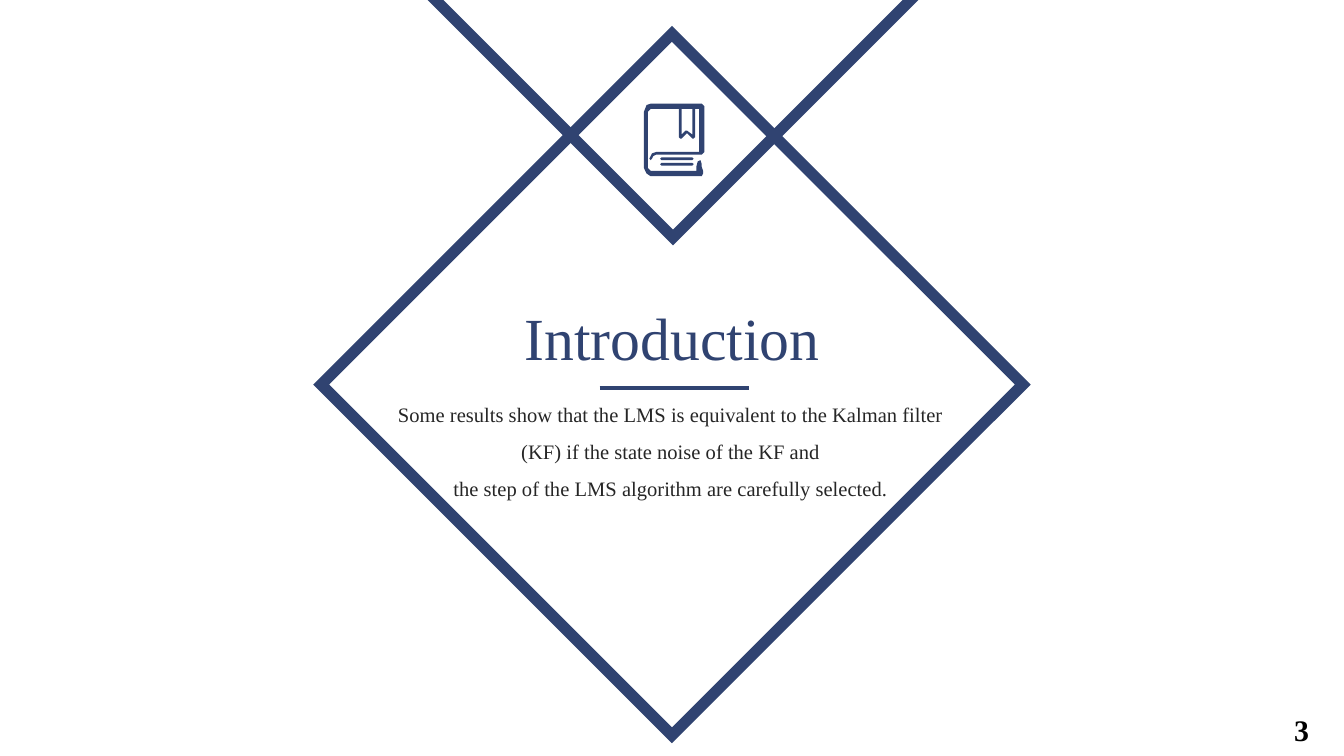
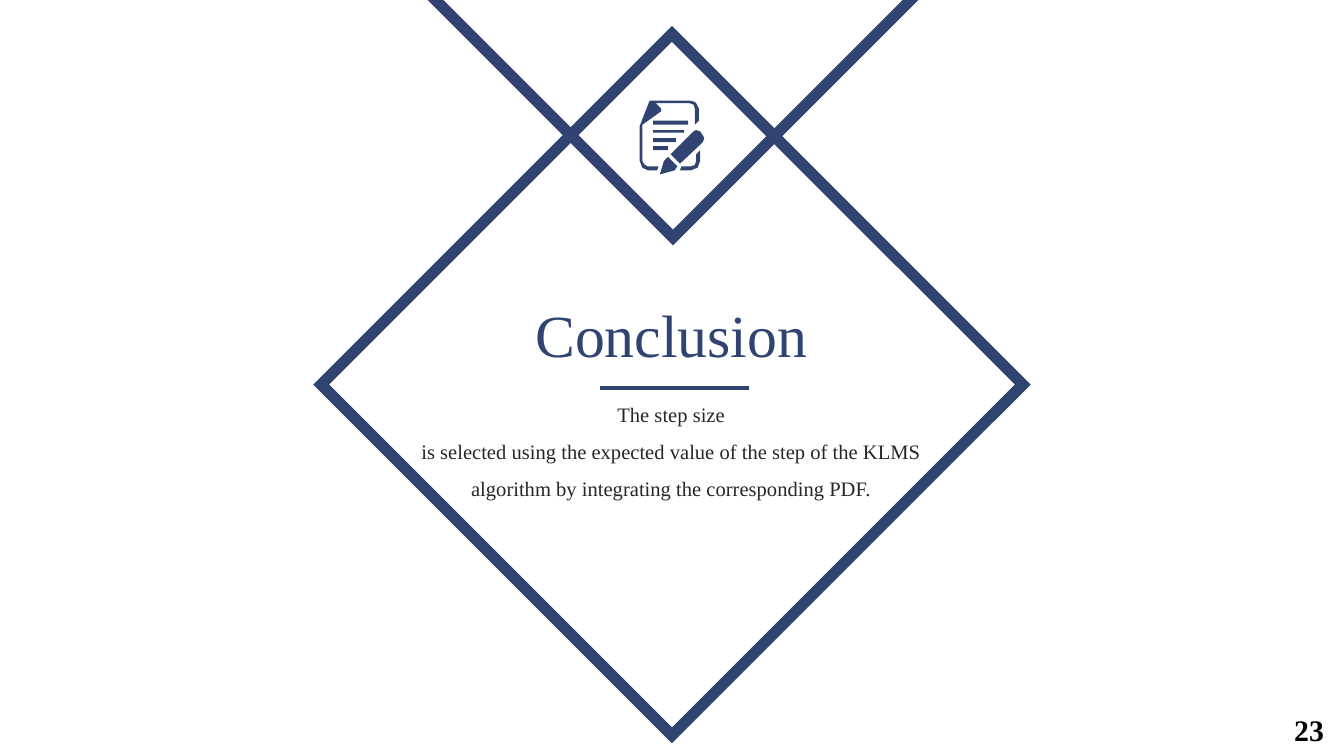
from pptx import Presentation
from pptx.dml.color import RGBColor
from pptx.enum.shapes import MSO_CONNECTOR, MSO_SHAPE
from pptx.enum.text import MSO_ANCHOR, PP_ALIGN
from pptx.oxml.ns import qn
from pptx.util import Cm, Pt
from lxml import etree

STRAIGHT = MSO_CONNECTOR.STRAIGHT
DIAMOND = MSO_SHAPE.DIAMOND
CENTER, LEFT = PP_ALIGN.CENTER, PP_ALIGN.LEFT
TOP, BOTTOM = MSO_ANCHOR.TOP, MSO_ANCHOR.BOTTOM

FONT = "Times New Roman"
NAVY, GREY, BLACK = "304371", "262626", "000000"
UNIT = Cm(0.0254)  # grid step of the icon outlines


def rgb(value):
    return RGBColor.from_string(value)


def add_text(s, box, lines, size, color, align=CENTER, spacing=1.0, wrap=True,
             bold=False, anchor=TOP):
    tf = s.shapes.add_textbox(*[Cm(v) for v in box]).text_frame
    tf.word_wrap = wrap
    tf.vertical_anchor = anchor
    for i, line in enumerate(lines):
        p = tf.paragraphs[0] if i == 0 else tf.add_paragraph()
        p.alignment = align
        p.line_spacing = spacing
        r = p.add_run()
        r.text = line
        r.font.name = FONT
        r.font.size = Pt(size)
        r.font.bold = bold
        r.font.color.rgb = rgb(color)
    return tf


# Icons: position in cm, then parts; each part is a list of closed contours
book_cover = [(43, 38), (45, 36), (45, 2), (43, 0), (5, 0), (2, 1), (0, 6),
              (0, 48), (2, 52), (5, 54), (43, 54), (44, 52), (44, 50), (43, 47),
              (43, 45), (42, 42), (40, 43), (39, 47), (39, 50), (5, 50), (3, 48),
              (3, 6), (5, 4), (26, 4), (26, 25), (27, 26), (28, 26), (32, 22),
              (36, 26), (37, 26), (38, 25), (38, 4), (41, 4), (41, 36), (9, 36),
              (6, 37), (4, 41), (5, 42), (6, 41), (7, 39), (9, 38)]
bookmark = [(36, 23), (32, 20), (31, 20), (28, 23), (28, 4), (36, 4)]
book_lines = [[[(13, y), (36, y), (37, y + 1), (36, y + 2), (13, y + 2), (12, y + 1)]]
              for y in (40, 44)]

page = [(3, 47), (2, 45), (2, 18), (16, 8), (16, 6), (12, 2), (37, 2), (40, 3),
        (41, 6), (41, 18), (44, 15), (44, 6), (42, 2), (41, 1), (37, 0), (8, 0),
        (7, 1), (0, 19), (0, 45), (2, 50), (6, 52), (13, 52), (14, 49), (6, 49),
        (4, 48)]
page_corner = [(41, 48), (38, 49), (31, 49), (30, 52), (38, 52), (43, 50),
               (45, 45), (45, 37), (42, 40), (42, 45)]
page_lines = [[(10, top), (right, top), (right, bottom), (10, bottom)]
              for top, right, bottom in ((15, 36, 18), (22, 33, 24),
                                         (28, 27, 31), (34, 21, 37))]
pen_body = [(23, 40), (40, 23), (42, 22), (45, 23), (47, 26), (48, 28), (47, 31),
            (30, 47)]
pen_tip = [(21, 42), (18, 45), (15, 55), (26, 52), (28, 49)]

BOOK = (12.17, 1.96, book_lines + [[book_cover, bookmark]])
NOTE = (12.09, 1.9, [[page, page_corner, pen_body, pen_tip] + page_lines])

# Per slide: title and its box, body and its box, page number, icon
sections = [
    ("Introduction", (9.63, 5.56, 6.15, 1.63),
     ["Some results show that the LMS is equivalent to the Kalman filter (KF) "
      "if the state noise of the KF and",
      "the step of the LMS algorithm are carefully selected."],
     (7.19, 7.24, 10.97, 2.29), "3", BOOK),
    ("Conclusion", (9.83, 5.51, 5.72, 1.63),
     ["The step size",
      "is selected using the expected value of the step of the KLMS",
      "algorithm by integrating the corresponding PDF."],
     (6.93, 7.24, 11.51, 2.29), "23", NOTE),
]

prs = Presentation()
prs.slide_width, prs.slide_height = Cm(25.4), Cm(14.29)

for title, title_box, body, body_box, number, icon in sections:
    s = prs.slides.add_slide(prs.slide_layouts[6])

    # Title, body and the rule between them
    add_text(s, title_box, [title], 32, NAVY, wrap=False)
    add_text(s, body_box, body, 11, GREY, spacing=1.5)
    rule = s.shapes.add_connector(STRAIGHT, Cm(11.33), Cm(7.34), Cm(14.15), Cm(7.34))
    rule.line.color.rgb = rgb(NAVY)
    rule.line.width = Pt(2.25)
    etree.SubElement(rule._element.spPr, qn("a:effectLst"))

    # Triangle from the top edge and large diamond, with sharp corners
    fb = s.shapes.build_freeform(0, 0, Cm(0.01))
    fb.add_line_segments([(1158, 0), (579, 579)], close=True)
    triangle = fb.convert_to_shape(Cm(6.93), Cm(-1.3))
    diamond = s.shapes.add_shape(DIAMOND, Cm(6.07), Cm(0.64), Cm(13.26), Cm(13.26))
    for sp in (triangle, diamond):
        sp.shadow.inherit = False
        sp.fill.background()
        sp.line.color.rgb = rgb(NAVY)
        sp.line.width = Pt(6)
        miter = etree.SubElement(sp.line._ln, qn("a:miter"))
        miter.set("lim", "800000")

    # Page number
    tf = add_text(s, (24.03, 13.1, 1.37, 1.19), [number], 16, BLACK, align=LEFT,
                  spacing=0.9, bold=True, anchor=BOTTOM)
    tf.margin_left, tf.margin_right, tf.margin_bottom = Cm(0.43), Cm(0), Cm(0.16)

    # Icon
    left, top, parts = icon
    shapes = s.shapes.add_group_shape().shapes if len(parts) > 1 else s.shapes
    for contours in parts:
        fb = shapes.build_freeform(*contours[0][0], scale=UNIT)
        for i, contour in enumerate(contours):
            if i:
                fb.move_to(*contour[0])
            fb.add_line_segments(contour[1:], close=True)
        sp = fb.convert_to_shape(Cm(left), Cm(top))
        sp.shadow.inherit = False
        sp.fill.solid()
        sp.fill.fore_color.rgb = rgb(NAVY)
        sp.line.fill.background()

prs.save("out.pptx")
